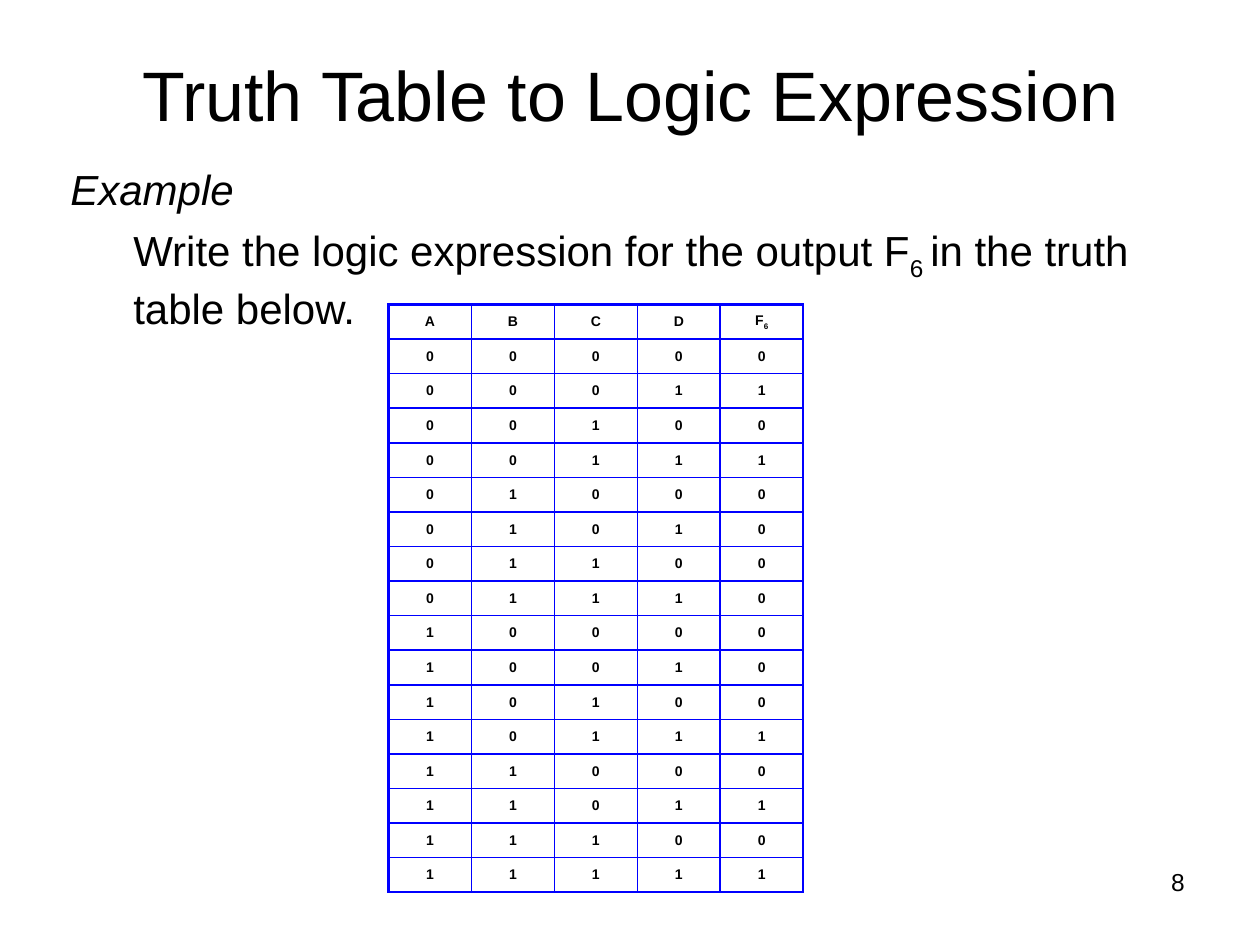
from itertools import product

from lxml.etree import SubElement
from pptx import Presentation
from pptx.dml.color import RGBColor
from pptx.enum.text import MSO_ANCHOR as Anchor, MSO_AUTO_SIZE as AutoSize, PP_ALIGN as Align
from pptx.oxml.ns import qn
from pptx.util import Pt

COLORS = {"text": "000000", "grid": "0000FF", "cell": "FFFFFF"}
INPUTS = "ABCD"
OUTPUTS = "0101000000010101"
THIN, THICK = 1, 1.5


def place(shape, box):
    shape.left, shape.top, shape.width, shape.height = map(Pt, box)


def style(p, size, align=Align.LEFT, bold=False, italic=False):
    p.alignment = align
    p.font.name, p.font.size = "Arial", Pt(size)
    p.font.bold, p.font.italic = bold, italic
    p.font.color.rgb = RGBColor.from_string(COLORS["text"])


def add_runs(p, *parts):
    """Add the parts in turn; every second one is a subscript."""
    for i, text in enumerate(parts):
        r = p.add_run()
        r.text = text
        if i % 2:
            r._r.get_or_add_rPr().set("baseline", "-25000")


def add_title(s, box):
    title = s.shapes.title
    place(title, box)
    tf = title.text_frame
    tf.auto_size = AutoSize.NONE
    tf.vertical_anchor = Anchor.TOP
    tf.margin_top, tf.margin_bottom = Pt(29.5), 0
    p = tf.paragraphs[0]
    p.text = "Truth Table to Logic Expression"
    style(p, 40, Align.CENTER)


def add_example(s, box):
    body = s.placeholders[1]
    place(body, box)
    tf = body.text_frame
    tf.auto_size = AutoSize.NONE
    heading, task = tf.paragraphs[0], tf.add_paragraph()
    heading.text = "Example"
    heading.space_after = Pt(6)
    task.level = 1
    add_runs(task, "Write the logic expression for the output F", "6 ",
             "in the truth table below.")
    for p, indent in ((heading, 0), (task, 36)):
        style(p, 24, italic=p is heading)
        p.space_before = Pt(0)
        pPr = p._p.get_or_add_pPr()
        pPr.set("marL", str(Pt(indent)))
        pPr.set("indent", "0")
        pPr.insert_element_before(pPr.makeelement(qn("a:buNone")), "a:tabLst", "a:defRPr")


def set_borders(cell, **widths):
    """Draw the sides L, R, T and B, given in that order, in points."""
    tcPr = cell._tc.get_or_add_tcPr()
    for side, width in widths.items():
        ln = SubElement(tcPr, qn(f"a:ln{side}"), w=str(Pt(width)))
        fill = SubElement(ln, qn("a:solidFill"))
        SubElement(fill, qn("a:srgbClr"), val=COLORS["grid"])


def add_truth_table(s, box):
    bits = product("01", repeat=len(INPUTS))
    rows = [[*INPUTS, "F"]] + [[*b, f] for b, f in zip(bits, OUTPUTS)]
    n_rows, n_cols = len(rows), len(rows[0])
    table = s.shapes.add_table(n_rows, n_cols, *map(Pt, box)).table
    table.first_row = table.horz_banding = False
    for col in table.columns:
        col.width = Pt(box[2] / n_cols)
    for row in table.rows:
        row.height = Pt(box[3] / n_rows)

    thick_rows = (0, 1, n_rows)
    thick_cols = (0, n_cols - 1, n_cols)
    for i, row in enumerate(rows):
        for j, text in enumerate(row):
            cell = table.cell(i, j)
            x = [THICK if k in thick_cols else THIN for k in (j, j + 1)]
            y = [THICK if k in thick_rows else THIN for k in (i, i + 1)]
            set_borders(cell, L=x[0], R=x[1], T=y[0], B=y[1])
            cell.fill.solid()
            cell.fill.fore_color.rgb = RGBColor.from_string(COLORS["cell"])
            cell.vertical_anchor = Anchor.MIDDLE
            p = cell.text_frame.paragraphs[0]
            add_runs(p, *((text, "6") if text == "F" else (text,)))
            style(p, 8, Align.CENTER, bold=True)


def add_page_number(s, box):
    tf = s.shapes.add_textbox(*map(Pt, box)).text_frame
    tf.word_wrap = True
    p = tf.paragraphs[0]
    p.text = "8"
    style(p, 14, Align.RIGHT)


def main():
    prs = Presentation()
    prs.slide_width, prs.slide_height = Pt(720), Pt(540)
    s = prs.slides.add_slide(prs.slide_layouts[1])
    add_title(s, (0, 0, 720, 48))
    add_example(s, (33, 90, 642, 130))
    add_truth_table(s, (222, 174, 237, 336))
    add_page_number(s, (516, 492, 168, 37))
    prs.save("out.pptx")


if __name__ == "__main__":
    main()
